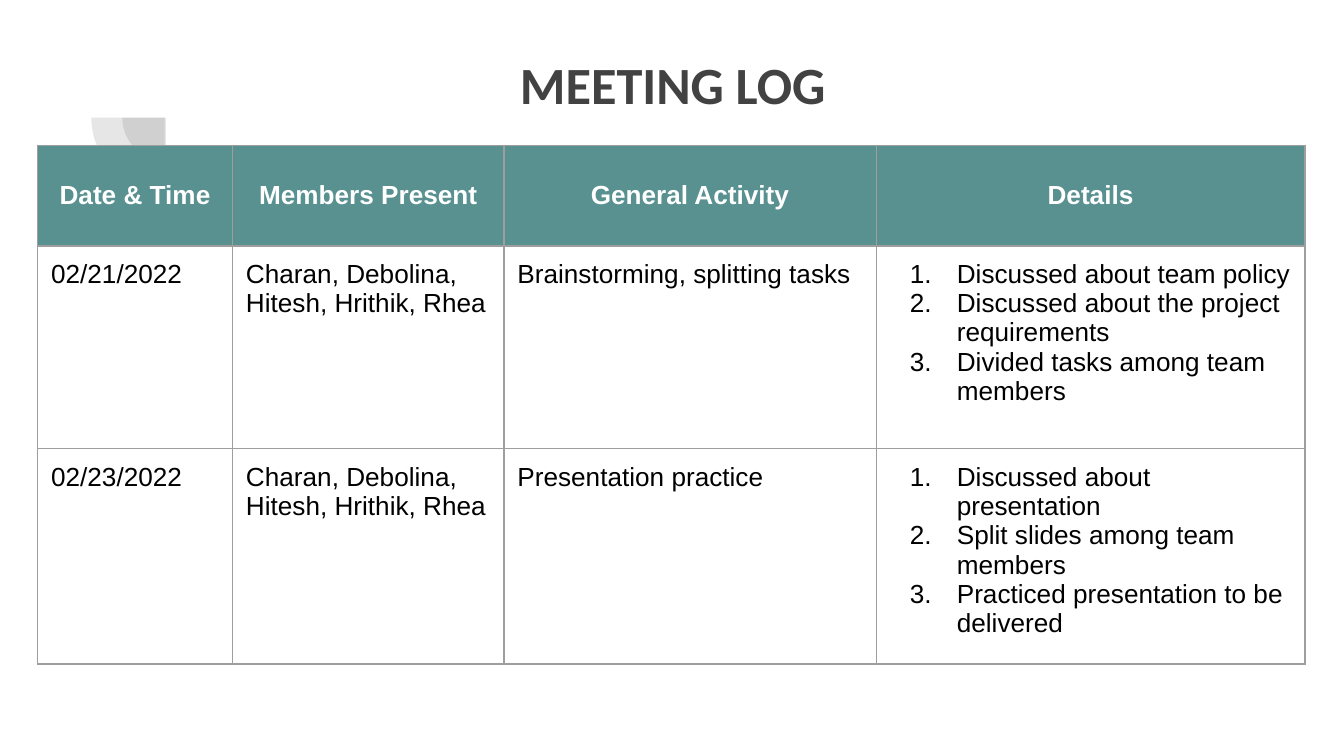
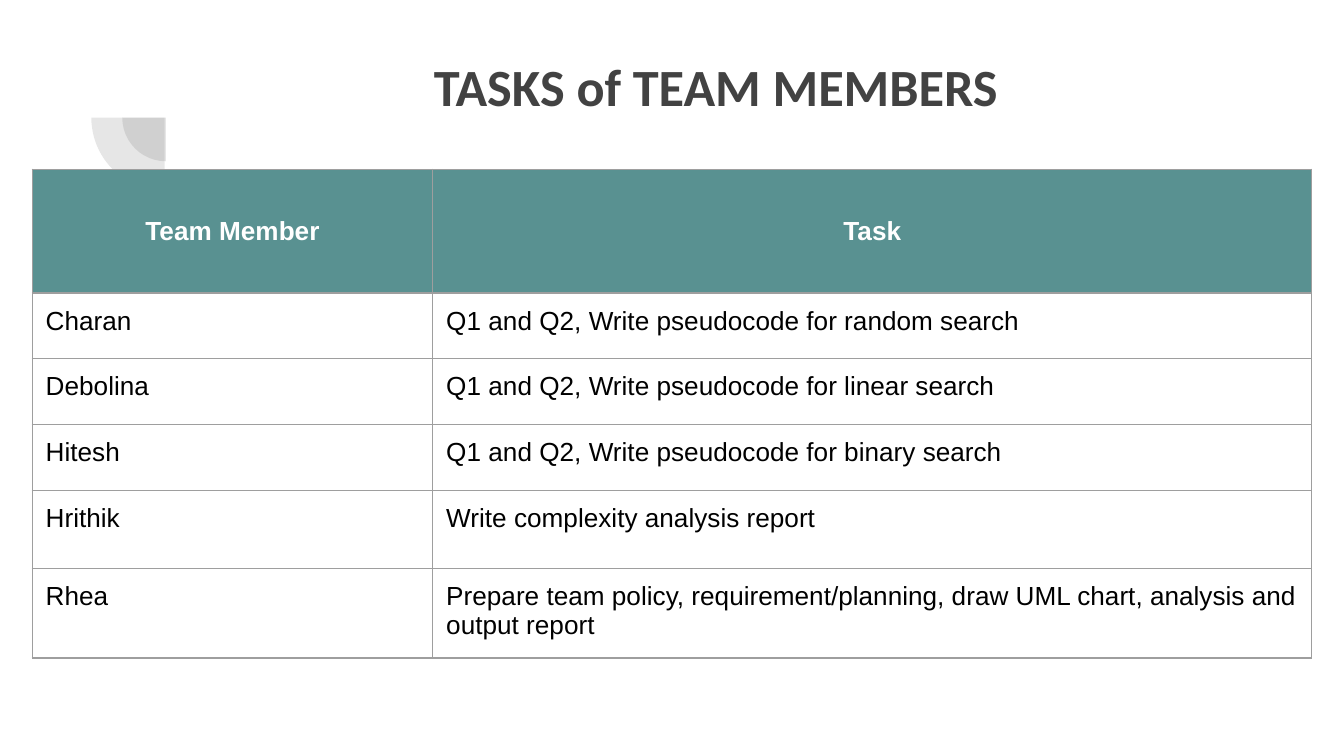
import lxml.etree
import pptx
import pptx.dml.color
import pptx.enum.shapes
import pptx.enum.text
import pptx.oxml.ns
import pptx.util

Inches = pptx.util.Inches
Pt = pptx.util.Pt
RGBColor = pptx.dml.color.RGBColor
qn = pptx.oxml.ns.qn

CHARCOAL = RGBColor(0x42, 0x42, 0x42)
TEAL = RGBColor(0x59, 0x91, 0x91)
GRAY = RGBColor(0x9E, 0x9E, 0x9E)
BLACK = RGBColor(0, 0, 0)
WHITE = RGBColor(0xFF, 0xFF, 0xFF)

MEMBERS = "Charan, Debolina, Hitesh, Hrithik, Rhea"
SLIDES = [
    {
        "title": "MEETING LOG",
        "title_at": (1.16, 0.29),
        "table_at": (0.28, 1.08),
        "columns": [1.45, 2.02, 2.77, 3.19],
        "rows": [0.75, 1.51, 0.47],
        "cells": [
            ["Date & Time", "Members Present", "General Activity", "Details"],
            ["02/21/2022", MEMBERS, "Brainstorming, splitting tasks", [
                "Discussed about team policy",
                "Discussed about the project requirements",
                "Divided tasks among team members",
            ]],
            ["02/23/2022", MEMBERS, "Presentation practice", [
                "Discussed about presentation",
                "Split slides among team members",
                "Practiced presentation to be delivered",
            ]],
        ],
    },
    {
        "title": "TASKS of TEAM MEMBERS",
        "title_at": (1.48, 0.3),
        "table_at": (0.24, 1.26),
        "columns": [2.98, 6.54],
        "rows": [0.92, 0.49, 0.49, 0.49, 0.58, 0.58],
        "cells": [
            ["Team Member", "Task"],
            ["Charan", "Q1 and Q2, Write pseudocode for random search"],
            ["Debolina", "Q1 and Q2, Write pseudocode for linear search"],
            ["Hitesh", "Q1 and Q2, Write pseudocode for binary search"],
            ["Hrithik", "Write complexity analysis report"],
            ["Rhea", "Prepare team policy, requirement/planning, draw UML chart, "
                     "analysis and output report"],
        ],
    },
]

QUARTER_CIRCLES = [(0.91, 0.55, 0.65), (0.68, 0.33, 1.09)]
TITLE_SIZE = (7.69, 1.09)
TABLE_SIZE = (3.28, 3.28)
INSET = Inches(0.1)


def style_text(paragraph, font_name, size, color, bold):
    for run in paragraph.runs:
        run.font.name = font_name
        run.font.size = Pt(size)
        run.font.color.rgb = color
        run.font.bold = bold


def set_insets(target):
    target.margin_left = target.margin_right = INSET
    target.margin_top = target.margin_bottom = INSET


def add_color(parent, color):
    return lxml.etree.SubElement(parent, qn("a:srgbClr"), val=str(color))


def add_quarter_circles(slide):
    for left, top, size in QUARTER_CIRCLES:
        shape = slide.shapes.add_shape(
            pptx.enum.shapes.MSO_SHAPE.PIE,
            Inches(left), Inches(top), Inches(size), Inches(size))
        shape.adjustments[0] = 108
        shape.adjustments[1] = 162
        shape.rotation = 270
        shape.shadow.inherit = False
        shape.line.fill.background()
        shape.fill.solid()
        shape.fill.fore_color.rgb = CHARCOAL
        color = shape.fill._xPr.find(qn("a:solidFill"))[0]
        lxml.etree.SubElement(color, qn("a:alpha"), val="13000")


def add_title(slide, text, position):
    box = slide.shapes.add_textbox(*map(Inches, position + TITLE_SIZE))
    frame = box.text_frame
    frame.word_wrap = True
    set_insets(frame)
    frame.text = text
    paragraph = frame.paragraphs[0]
    paragraph.alignment = pptx.enum.text.PP_ALIGN.CENTER
    style_text(paragraph, "Calibri", 28, CHARCOAL, True)


def number_paragraph(paragraph):
    properties = paragraph._p.get_or_add_pPr()
    properties.set("marL", str(Inches(0.5)))
    properties.set("indent", str(Inches(-0.35)))
    add_color(lxml.etree.SubElement(properties, qn("a:buClr")), BLACK)
    lxml.etree.SubElement(properties, qn("a:buFont"), typeface="Arial")
    lxml.etree.SubElement(properties, qn("a:buAutoNum"), type="arabicPeriod")


def add_borders(cell):
    properties = cell._tc.get_or_add_tcPr()
    for index, side in enumerate(("a:lnL", "a:lnR", "a:lnT", "a:lnB")):
        line = lxml.etree.Element(qn(side), w=str(Pt(0.75)))
        add_color(lxml.etree.SubElement(line, qn("a:solidFill")), GRAY)
        properties.insert(index, line)


def fill_cell(cell, content, is_header):
    numbered = isinstance(content, list)
    cell.text = "\n".join(content) if numbered else content
    set_insets(cell)
    if is_header:
        cell.vertical_anchor = pptx.enum.text.MSO_ANCHOR.MIDDLE
        cell.fill.solid()
        cell.fill.fore_color.rgb = TEAL
    else:
        cell.fill.background()
    for paragraph in cell.text_frame.paragraphs:
        if is_header:
            paragraph.alignment = pptx.enum.text.PP_ALIGN.CENTER
        if numbered:
            number_paragraph(paragraph)
        style_text(paragraph, "Arial", 14, WHITE if is_header else BLACK, is_header)
    add_borders(cell)


def add_table(slide, position, columns, rows, cells):
    frame = slide.shapes.add_table(
        len(rows), len(columns), *map(Inches, position + TABLE_SIZE))
    table = frame.table
    table.horz_banding = False
    for column, width in zip(table.columns, columns):
        column.width = Inches(width)
    for row, height in zip(table.rows, rows):
        row.height = Inches(height)
    frame.width, frame.height = map(Inches, TABLE_SIZE)
    for row_index, contents in enumerate(cells):
        for column_index, content in enumerate(contents):
            fill_cell(table.cell(row_index, column_index), content, row_index == 0)


def main():
    presentation = pptx.Presentation()
    presentation.slide_width = Inches(10)
    presentation.slide_height = presentation.slide_width * 9 // 16
    for page in SLIDES:
        slide = presentation.slides.add_slide(presentation.slide_layouts[6])
        add_quarter_circles(slide)
        add_title(slide, page["title"], page["title_at"])
        add_table(slide, page["table_at"], page["columns"], page["rows"], page["cells"])
    presentation.save("out.pptx")


if __name__ == "__main__":
    main()
